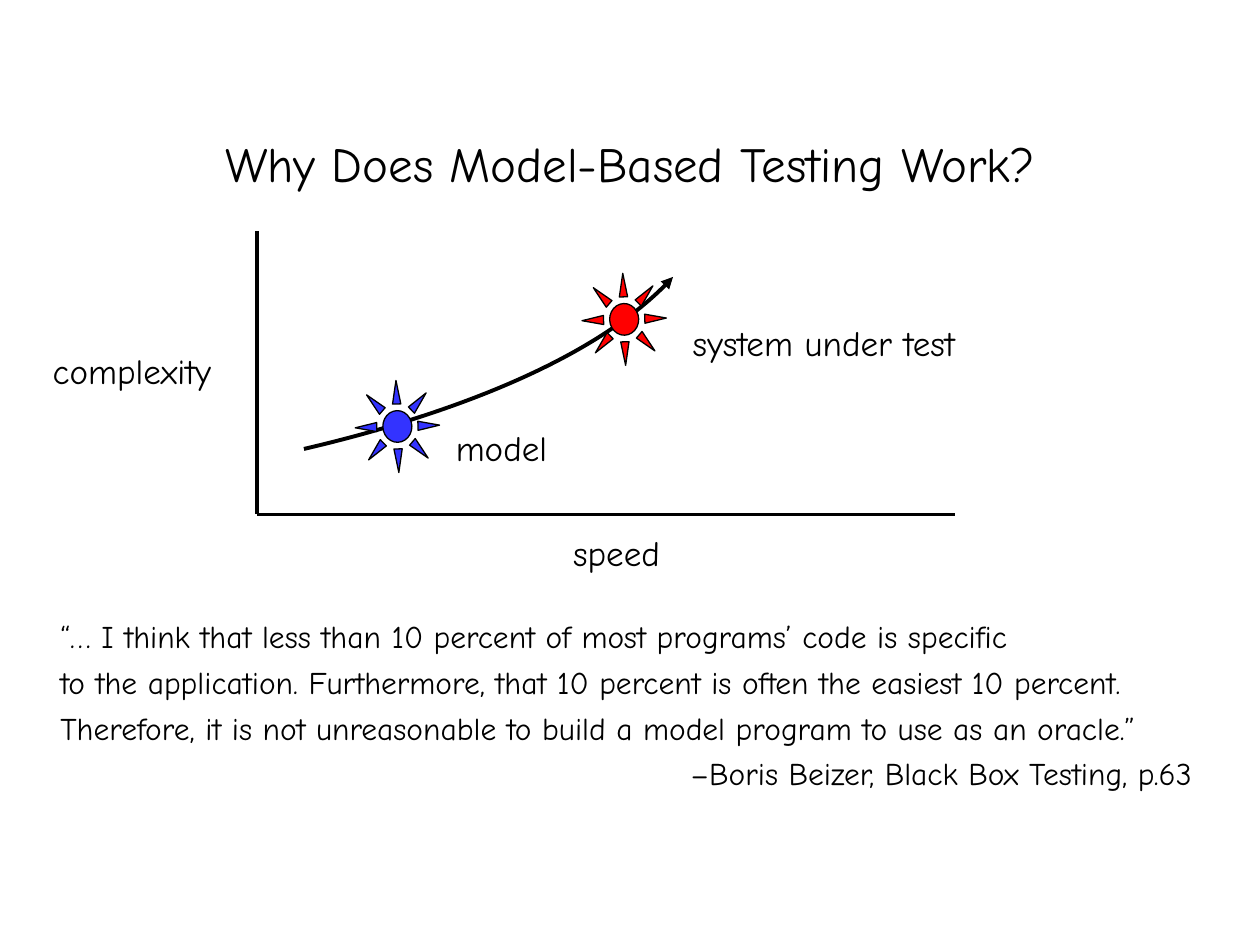
import pptx
import pptx.dml.color
import pptx.enum.shapes
import pptx.enum.text
import pptx.oxml.ns
import pptx.util
from lxml import etree

Pt = pptx.util.Pt
ALIGN = pptx.enum.text.PP_ALIGN
ANCHOR = pptx.enum.text.MSO_ANCHOR
FONT = "Comic Neue"
BLACK, BLUE, RED = "000000", "3333FF", "FF0000"
QUOTE = [
    "“… I think that less than 10 percent of most programs’ code is specific",
    "to the application. Furthermore, that 10 percent is often the easiest 10 percent.",
    "Therefore, it is not unreasonable to build a model program to use as an oracle.”",
    "–Boris Beizer, Black Box Testing, p.63",
]


def color(value):
    return pptx.dml.color.RGBColor.from_string(value)


def add_child(parent, tag, **attributes):
    return etree.SubElement(parent, pptx.oxml.ns.qn(tag), **attributes)


def add_text(page, text, left, top, width, height, size=20, align=ALIGN.LEFT,
             anchor=ANCHOR.TOP, wrap=False, gap=0):
    box = page.shapes.add_textbox(Pt(left), Pt(top), Pt(width), Pt(height))
    frame = box.text_frame
    frame.word_wrap = wrap
    frame.vertical_anchor = anchor
    frame.text = text
    for index, para in enumerate(frame.paragraphs):
        para.alignment = align
        if gap and index:
            para.space_before = Pt(gap)
        for span in para.runs:
            span.font.size = Pt(size)
            span.font.name = FONT
            span.font.color.rgb = color(BLACK)
    return box


def set_line(shape, width):
    shape.line.color.rgb = color(BLACK)
    shape.line.width = Pt(width)


def add_axis(page, start, end):
    axis = page.shapes.add_connector(
        pptx.enum.shapes.MSO_CONNECTOR.STRAIGHT, *map(Pt, start + end))
    set_line(axis, 2.25)
    add_child(axis.element.spPr, "a:effectLst")


def add_curve_arrow(page, start, *controls_and_end):
    builder = page.shapes.build_freeform(Pt(start[0]), Pt(start[1]))
    builder.add_line_segments(
        [(Pt(x), Pt(y)) for x, y in controls_and_end], close=False)
    curve = builder.convert_to_shape()
    segments = list(curve.element.iter(pptx.oxml.ns.qn("a:lnTo")))
    outline = segments[0].getparent()
    bezier = add_child(outline, "a:cubicBezTo")
    for segment in segments:
        bezier.append(segment[0])
        outline.remove(segment)
    curve.shadow.inherit = False
    curve.fill.background()
    set_line(curve, 2.25)
    add_child(curve.line._get_or_add_ln(), "a:tailEnd", type="triangle")


def add_sun(page, left, top, fill):
    sun = page.shapes.add_shape(
        pptx.enum.shapes.MSO_SHAPE.SUN, Pt(left), Pt(top), Pt(48.2), Pt(52.6))
    sun.adjustments[0] = 0.328
    sun.rotation = 358.2
    sun.shadow.inherit = False
    sun.fill.solid()
    sun.fill.fore_color.rgb = color(fill)
    set_line(sun, 0.75)


def main():
    deck = pptx.Presentation()
    deck.slide_width, deck.slide_height = Pt(720), Pt(540)
    page = deck.slides.add_slide(deck.slide_layouts[6])

    add_text(page, "Why Does Model-Based Testing Work?", 24, 48, 672, 90,
             size=28, align=ALIGN.CENTER, anchor=ANCHOR.MIDDLE, wrap=True)

    origin = (147, 294)
    add_axis(page, (147, 132), origin)
    add_axis(page, origin, (546, 294))
    add_text(page, "speed", 320.4, 300, 66, 31.5)
    add_text(page, "complexity", 23, 196, 107, 31.5)

    add_curve_arrow(page, (173.7, 256.6), (240, 241.1), (337.1, 210.3), (384.6, 158.3))
    add_sun(page, 203, 217.4, BLUE)
    add_sun(page, 332.6, 156.2, RED)
    add_text(page, "model", 253.4, 240, 69, 31.5)
    add_text(page, "system under test", 387, 180, 167.6, 31.5, align=ALIGN.CENTER)

    quote = add_text(page, "\n".join(QUOTE), 27.4, 349.2, 667, 107.3, size=18, gap=4.5)
    source = quote.text_frame.paragraphs[-1]
    source._p.get_or_add_pPr().set("marL", str(Pt(360)))

    deck.save("out.pptx")


if __name__ == "__main__":
    main()
